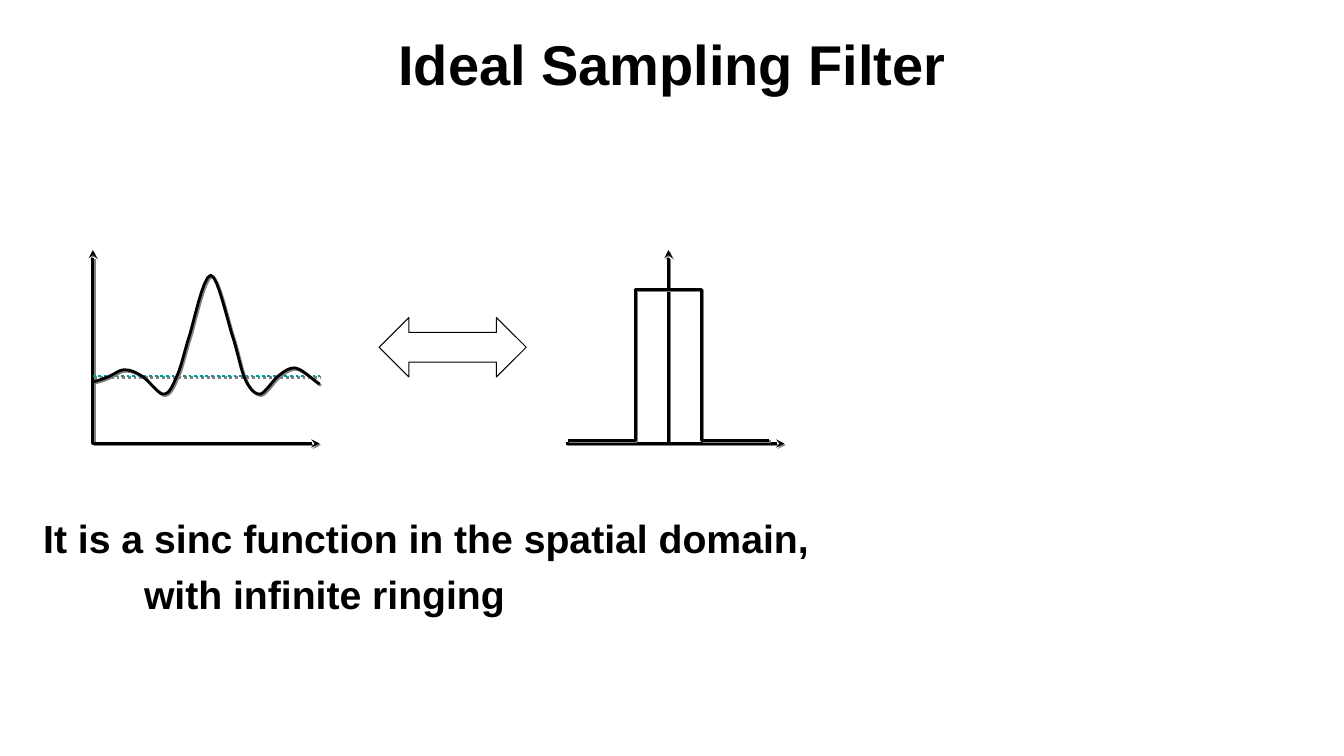
from lxml.etree import SubElement
from pptx import Presentation
from pptx.dml.color import RGBColor
from pptx.enum.dml import MSO_LINE as Dash
from pptx.enum.shapes import MSO_CONNECTOR as Connector, MSO_SHAPE as Shape
from pptx.enum.text import MSO_ANCHOR as Anchor, PP_ALIGN as Align
from pptx.oxml import parse_xml
from pptx.oxml.ns import qn
from pptx.util import Inches, Pt

SHADOW = (
    '<a:effectLst xmlns:a="http://schemas.openxmlformats.org/drawingml/2006/main">'
    '<a:outerShdw dist="17961" dir="2700000" algn="ctr" rotWithShape="0">'
    '<a:srgbClr val="{}"/></a:outerShdw></a:effectLst>'
)


def draw_path(group, points, color="000000", dash=None, head=False, tail=False):
    """Draw a shadowed line through points, with optional stealth arrowheads."""
    corners = [(Inches(x), Inches(y)) for x, y in points]
    if len(corners) == 2:
        path = group.shapes.add_connector(Connector.STRAIGHT, *corners[0], *corners[1])
    else:
        builder = group.shapes.build_freeform(*corners[0], scale=1.0)
        builder.add_line_segments(corners[1:], close=False)
        path = builder.convert_to_shape()
        path.fill.background()
    path.line.color.rgb = RGBColor.from_string(color)
    path.line.width = Pt(2)
    if dash:
        path.line.dash_style = dash
    outline = path.line._get_or_add_ln()
    for wanted, tag in ((head, "a:headEnd"), (tail, "a:tailEnd")):
        if wanted:
            SubElement(outline, qn(tag), type="stealth")
    path._element.spPr.append(parse_xml(SHADOW.format("808080")))


def write_text(para, text, size, align=Align.LEFT, before=0, indent=0, shadow=False):
    para.alignment = align
    para.space_before = Pt(before)
    if indent:
        para._p.get_or_add_pPr().set("marL", str(Inches(indent)))
    span = para.add_run()
    span.text = text
    span.font.name = "Arial"
    span.font.size = Pt(size)
    span.font.bold = True
    span.font.color.rgb = RGBColor.from_string("000000")
    if shadow:
        fill = span._r.rPr.find(qn("a:solidFill"))
        fill.addnext(parse_xml(SHADOW.format("C0C0C0")))


deck = Presentation()
deck.slide_width, deck.slide_height = Inches(13.33), Inches(7.5)
page = deck.slides.add_slide(deck.slide_layouts[6])

# Title
title = page.shapes.add_textbox(Inches(0.22), Inches(0.17), Inches(12.89), Inches(0.92))
title.text_frame.word_wrap = True
title.text_frame.vertical_anchor = Anchor.MIDDLE
write_text(title.text_frame.paragraphs[0], "Ideal Sampling Filter", 40,
           align=Align.CENTER, shadow=True)

# Statement below the graphs
body = page.shapes.add_textbox(Inches(0.33), Inches(5.05), Inches(8.62), Inches(1.11))
body.text_frame.word_wrap = True
write_text(body.text_frame.paragraphs[0],
           "It is a sinc function in the spatial domain,", 28)
write_text(body.text_frame.add_paragraph(), "with infinite ringing", 28,
           before=6.5, indent=1)

# Box filter in the frequency domain
box_graph = page.shapes.add_group_shape()
draw_path(box_graph, [(6.63, 4.4), (6.63, 2.48)], tail=True)
draw_path(box_graph, [(5.61, 4.4), (7.78, 4.4)], tail=True)
draw_path(box_graph, [(5.63, 4.37), (6.3, 4.37), (6.3, 2.87),
                      (6.96, 2.87), (6.96, 4.37), (7.63, 4.37)])

# Sinc function in the spatial domain: each row is two control points and an end
sinc_start = (0.92, 3.79)
sinc_curves = [
    ((0.95, 3.78), (1.03, 3.76), (1.09, 3.73)),
    ((1.14, 3.71), (1.19, 3.66), (1.25, 3.67)),
    ((1.3, 3.67), (1.36, 3.7), (1.42, 3.74)),
    ((1.48, 3.78), (1.57, 3.91), (1.62, 3.91)),
    ((1.68, 3.91), (1.71, 3.83), (1.75, 3.74)),
    ((1.79, 3.66), (1.81, 3.56), (1.86, 3.39)),
    ((1.92, 3.22), (2.01, 2.74), (2.09, 2.73)),
    ((2.16, 2.73), (2.26, 3.21), (2.32, 3.38)),
    ((2.37, 3.55), (2.39, 3.67), (2.43, 3.76)),
    ((2.47, 3.85), (2.52, 3.91), (2.58, 3.91)),
    ((2.63, 3.9), (2.7, 3.78), (2.76, 3.73)),
    ((2.81, 3.69), (2.86, 3.65), (2.92, 3.65)),
    ((2.97, 3.65), (3.05, 3.72), (3.09, 3.75)),
    ((3.13, 3.78), (3.15, 3.8), (3.17, 3.81)),
]
STEPS = 8
sinc_points = [sinc_start]
for first, second, end in sinc_curves:
    start = sinc_points[-1]
    for step in range(1, STEPS + 1):
        t = step / STEPS
        sinc_points.append(tuple(
            (1 - t) ** 3 * a + 3 * t * (1 - t) ** 2 * b + 3 * t ** 2 * (1 - t) * c + t ** 3 * d
            for a, b, c, d in zip(start, first, second, end)))

sinc_graph = page.shapes.add_group_shape()
draw_path(sinc_graph, [(0.92, 2.48), (0.92, 4.4), (3.17, 4.4)], head=True, tail=True)
draw_path(sinc_graph, [(0.92, 3.73), (3.17, 3.73)], color="009999", dash=Dash.ROUND_DOT)
draw_path(sinc_graph, sinc_points)

# Double arrow between the domains
arrow = page.shapes.add_shape(Shape.LEFT_RIGHT_ARROW, Inches(3.76), Inches(3.15),
                              Inches(1.46), Inches(0.59))
arrow.shadow.inherit = False
arrow.fill.background()
arrow.line.color.rgb = RGBColor.from_string("000000")
arrow.line.width = Pt(0.75)

deck.save("out.pptx")
